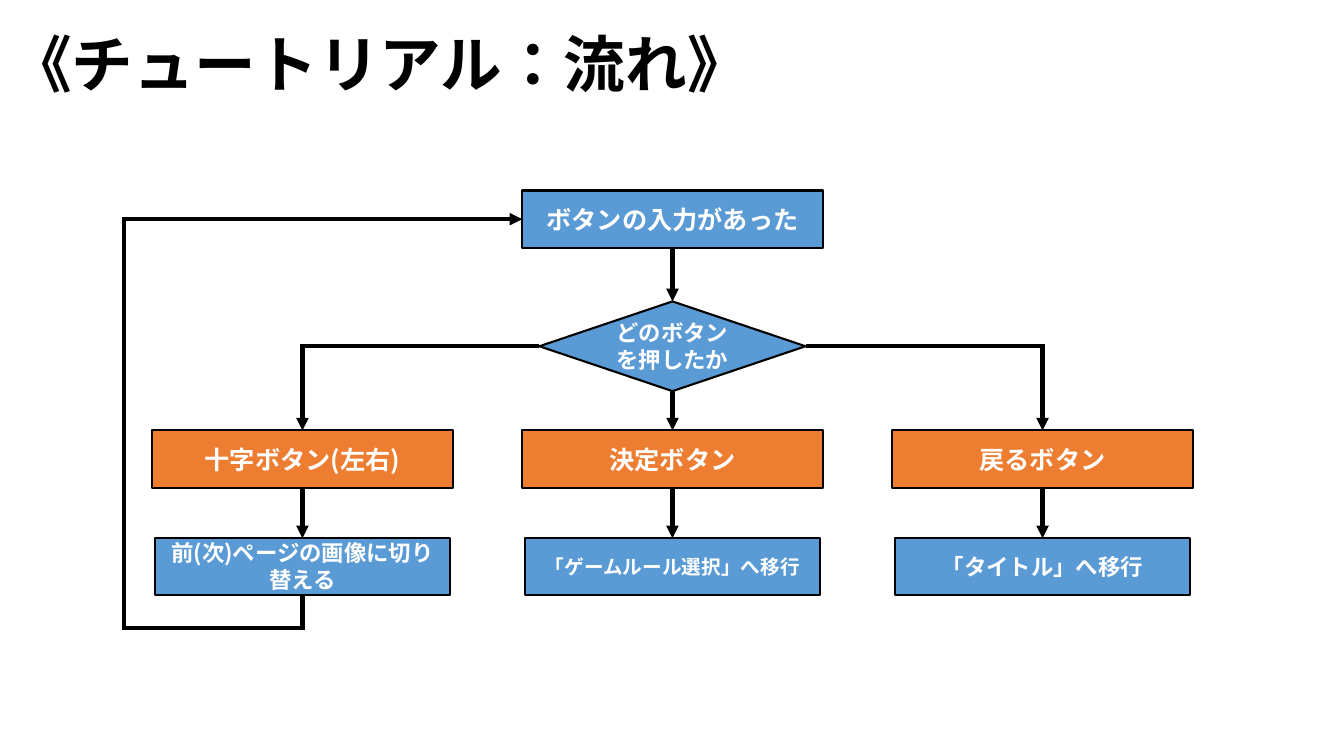
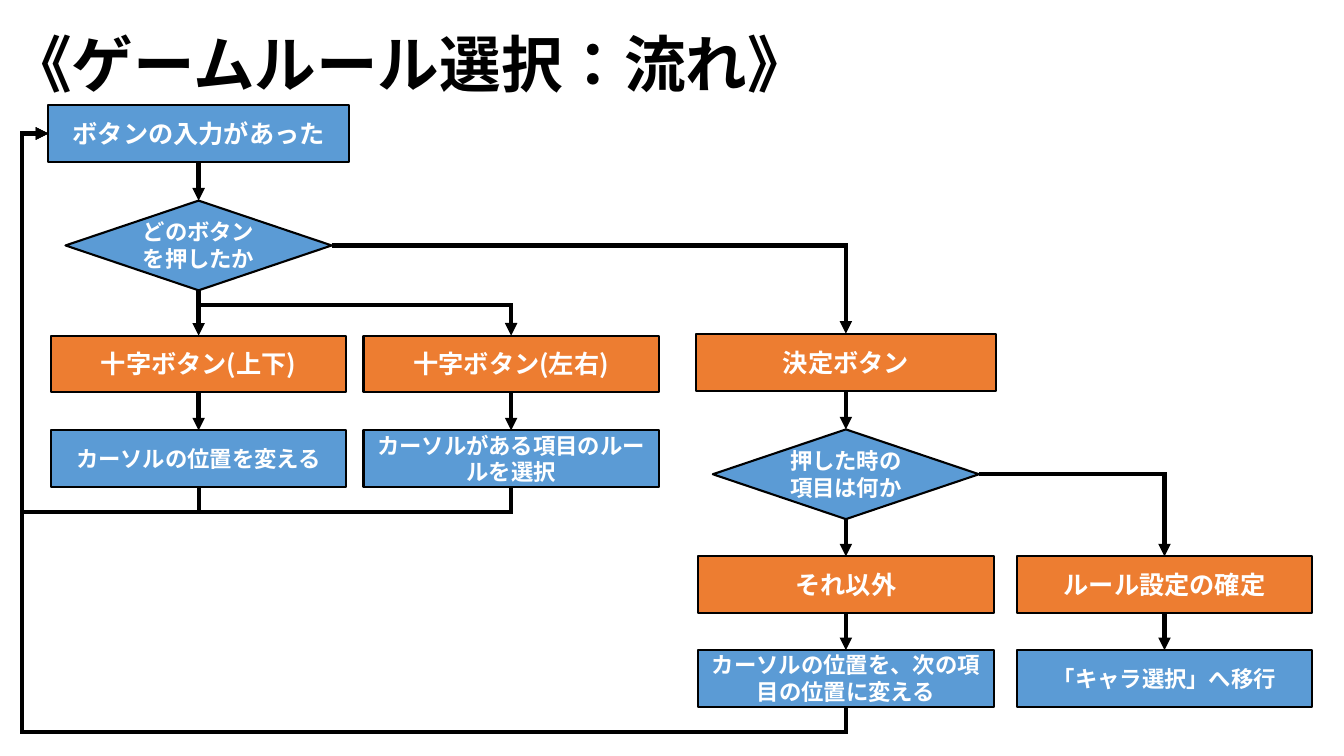
from dataclasses import dataclass

from lxml.etree import SubElement
from pptx import Presentation
from pptx.dml.color import RGBColor
from pptx.enum.lang import MSO_LANGUAGE_ID
from pptx.enum.shapes import MSO_CONNECTOR, MSO_SHAPE
from pptx.enum.text import MSO_ANCHOR, MSO_AUTO_SIZE, PP_ALIGN
from pptx.oxml.ns import qn
from pptx.util import Inches, Pt

TOP, LEFT, BOTTOM, RIGHT = range(4)
TITLE_ONLY = 5


@dataclass(frozen=True)
class Theme:
    font: str = "Noto Sans CJK JP"
    ink: str = "000000"
    paper: str = "FFFFFF"
    blue: str = "5B9BD5"
    orange: str = "ED7D31"
    title_size: int = 44
    large: int = 18
    medium: int = 16
    small: int = 14
    outline: float = 1.5
    arrow: float = 3


THEME = Theme()


@dataclass(frozen=True)
class Kind:
    """Look of one sort of flowchart node."""
    width: float
    height: float
    fill: str
    size: int
    preset: MSO_SHAPE = MSO_SHAPE.FLOWCHART_PROCESS


START = Kind(2.98, 0.57, THEME.blue, THEME.large)
DECISION = Kind(2.64, 0.89, THEME.blue, THEME.medium, MSO_SHAPE.FLOWCHART_DECISION)
WIDE_CASE = Kind(2.98, 0.57, THEME.orange, THEME.large)
CASE = Kind(2.93, 0.56, THEME.orange, THEME.large)
ACTION = Kind(2.93, 0.56, THEME.blue, THEME.medium)


def write(frame, text, size, color, align=PP_ALIGN.CENTER):
    frame.word_wrap = True
    frame.vertical_anchor = MSO_ANCHOR.MIDDLE
    para = frame.paragraphs[0]
    para.alignment = align
    span = para.add_run()
    span.text = text
    font = span.font
    font.size, font.bold, font.name = Pt(size), True, THEME.font
    font.color.rgb = RGBColor.from_string(color)
    font.language_id = MSO_LANGUAGE_ID.JAPANESE
    SubElement(font._element, qn("a:ea"), typeface=THEME.font)


def add_page(deck, title):
    page = deck.slides.add_slide(deck.slide_layouts[TITLE_ONLY])
    box = page.shapes.title
    box.left, box.top, box.width, box.height = map(Inches, (0, 0.2, 12, 0.84))
    frame = box.text_frame
    frame.auto_size = MSO_AUTO_SIZE.NONE
    frame.margin_top = frame.margin_bottom = 0
    write(frame, title, THEME.title_size, THEME.ink, align=PP_ALIGN.LEFT)
    return page


def add_node(page, kind, center, top, text, size=None):
    box = page.shapes.add_shape(
        kind.preset, Inches(center - kind.width / 2), Inches(top),
        Inches(kind.width), Inches(kind.height))
    box.shadow.inherit = False
    box.fill.solid()
    box.fill.fore_color.rgb = RGBColor.from_string(kind.fill)
    box.line.color.rgb = RGBColor.from_string(THEME.ink)
    box.line.width = Pt(THEME.outline)
    write(box.text_frame, text, size or kind.size, THEME.paper)
    return box


def style_arrow(line):
    line.color.rgb = RGBColor.from_string(THEME.ink)
    line.width = Pt(THEME.arrow)
    outline = line._get_or_add_ln()
    SubElement(outline, qn("a:miter"), lim="800000")
    SubElement(outline, qn("a:tailEnd"), type="triangle")


def connect(page, source, target, side=BOTTOM):
    """Arrow to the top of target: straight from the bottom, bent from a side."""
    straight = side == BOTTOM
    kind = MSO_CONNECTOR.STRAIGHT if straight else MSO_CONNECTOR.ELBOW
    arrow = page.shapes.add_connector(kind, 0, 0, 0, 0)
    arrow.begin_connect(source, side)
    arrow.end_connect(target, TOP)
    properties = arrow._element.spPr
    if not straight:
        properties.find(qn("a:prstGeom")).set("prst", "bentConnector2")
    style_arrow(arrow.line)
    SubElement(properties, qn("a:effectLst"))


def chain(page, *nodes):
    for source, target in zip(nodes, nodes[1:]):
        connect(page, source, target)


def add_route(page, start, *corners):
    """Arrow along a path with several corners."""
    builder = page.shapes.build_freeform(*start)
    builder.add_line_segments(corners, close=False)
    route = builder.convert_to_shape()
    route.shadow.inherit = False
    route.fill.background()
    style_arrow(route.line)


def middle(box):
    return box.left + box.width // 2


def loop_back(page, source, target, lane, drop):
    """Arrow from below source, up the lane and into the left of target."""
    x, bottom = middle(source), source.top + source.height
    low, lane = bottom + Inches(drop), Inches(lane)
    entry = target.top + target.height // 2
    add_route(page, (x, bottom), (x, low), (lane, low),
              (lane, entry), (target.left, entry))


def build_tutorial(deck):
    page = add_page(deck, "《チュートリアル：流れ》")
    center, gap = 6.67, 3.67
    start = add_node(page, START, center, 1.89, "ボタンの入力があった")
    decision = add_node(page, DECISION, center, 2.99, "どのボタンを押したか")
    chain(page, start, decision)
    branches = (
        ("十字ボタン(左右)", "前(次)ページの画像に切り替える", THEME.medium, LEFT),
        ("決定ボタン", "「ゲームルール選択」へ移行", THEME.small, BOTTOM),
        ("戻るボタン", "「タイトル」へ移行", THEME.medium, RIGHT),
    )
    actions = []
    for column, (label, result, size, side) in enumerate(branches, -1):
        x = center + column * gap
        case = add_node(page, WIDE_CASE, x, 4.27, label)
        action = add_node(page, ACTION, x, 5.34, result, size=size)
        connect(page, decision, case, side)
        chain(page, case, action)
        actions.append(action)
    loop_back(page, actions[0], start, lane=1.23, drop=0.33)


def build_rule_selection(deck):
    page = add_page(deck, "《ゲームルール選択：流れ》")
    first, second, third, fourth = 1.97, 5.07, 8.39, 11.55

    start = add_node(page, START, first, 1.04, "ボタンの入力があった")
    button = add_node(page, DECISION, first, 1.99, "どのボタンを押したか")
    vertical = add_node(page, CASE, first, 3.33, "十字ボタン(上下)")
    move = add_node(page, ACTION, first, 4.27, "カーソルの位置を変える")
    chain(page, start, button, vertical, move)

    sideways = add_node(page, CASE, second, 3.33, "十字ボタン(左右)")
    choose = add_node(page, ACTION, second, 4.27, "カーソルがある項目のルールを選択")
    chain(page, sideways, choose)
    fork = Inches(3.03)
    add_route(page, (middle(button), fork), (middle(sideways), fork),
              (middle(sideways), sideways.top))

    confirm = add_node(page, WIDE_CASE, third, 3.31, "決定ボタン")
    item = add_node(page, DECISION, third, 4.26, "押した時の項目は何か")
    other = add_node(page, CASE, third, 5.52, "それ以外")
    advance = add_node(page, ACTION, third, 6.45, "カーソルの位置を、次の項目の位置に変える")
    connect(page, button, confirm, RIGHT)
    chain(page, confirm, item, other, advance)

    settled = add_node(page, CASE, fourth, 5.52, "ルール設定の確定")
    leave = add_node(page, ACTION, fourth, 6.45, "「キャラ選択」へ移行")
    connect(page, item, settled, RIGHT)
    chain(page, settled, leave)

    for action in (move, choose, advance):
        loop_back(page, action, start, lane=0.22, drop=0.25)


def main():
    deck = Presentation()
    deck.slide_width, deck.slide_height = Inches(13.33), Inches(7.5)
    build_tutorial(deck)
    build_rule_selection(deck)
    deck.save("out.pptx")


if __name__ == "__main__":
    main()
